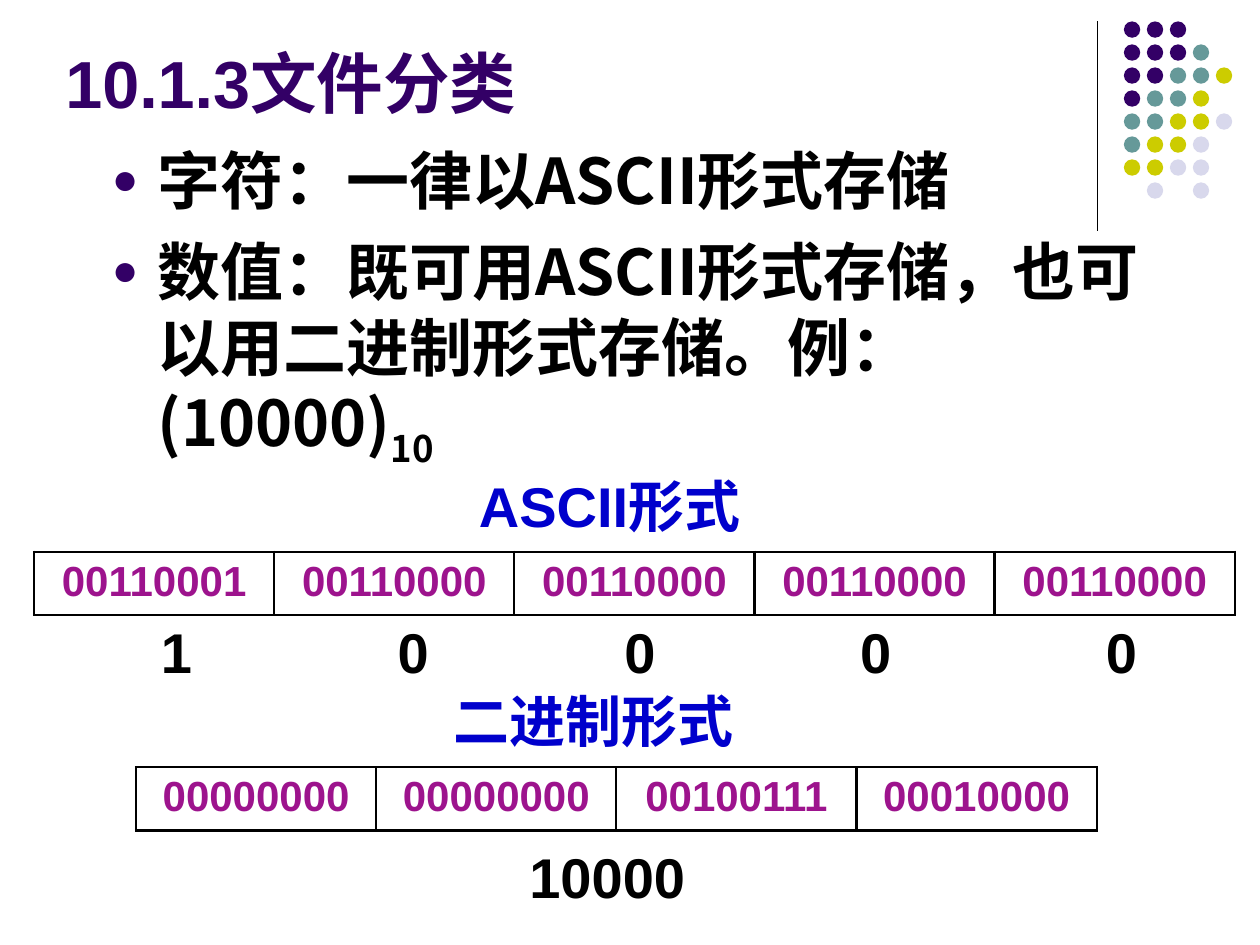
from typing import NamedTuple

from lxml.etree import SubElement as Sub
from pptx import Presentation
from pptx.dml.color import RGBColor as Rgb
from pptx.enum.shapes import MSO_CONNECTOR as Link, MSO_SHAPE as Shape
from pptx.enum.text import MSO_ANCHOR as Anchor, PP_ALIGN as Align
from pptx.oxml.ns import qn
from pptx.util import Inches, Pt

COLORS = {
    "ink": "000000", "plum": "330066", "teal": "669999", "lime": "CCCC00",
    "mist": "D8D8EC", "blue": "0000CC", "code": "9D138D",
}
SANS, HAN = "Arial", "Noto Sans CJK SC"


class Style(NamedTuple):
    size: float
    color: str
    face: str = SANS


class Label(NamedTuple):
    text: str
    left: float
    top: float
    width: float
    color: str = "ink"


class Grid(NamedTuple):
    left: float
    top: float
    codes: list[str]


TITLE = Style(38, "plum")
BODY = Style(36, "ink", HAN)
CODE = Style(24, "code")

# Dot pattern: one letter per dot, a space for a gap
DOTS = ["ppp", "pppt", "ppttl", "pttl", "ttllm", "tllm", "llmm", " m m"]
KEYS = {"p": "plum", "t": "teal", "l": "lime", "m": "mist"}
DOT, STEP = 0.13, 0.73 / 4

GRIDS = [
    Grid(0.27, 4.38, ["00110001"] + ["00110000"] * 4),
    Grid(1.08, 6.09, ["00000000", "00000000", "00100111", "00010000"]),
]
CELL, ROW = 1.906, 0.5

DIGITS = zip("10000", [0.66, 2.54, 4.34, 6.21, 8.16])
LABELS = [Label(digit, left, 4.85, 1.48) for digit, left in DIGITS] + [
    Label("ASCII形式", 3.24, 3.69, 3.2, "blue"),
    Label("二进制形式", 3.11, 5.4, 3.2, "blue"),
    Label("10000", 3.65, 6.64, 2.34),
]


def color(name: str) -> Rgb:
    return Rgb.from_string(COLORS[name])


def add_run(para, text: str, style: Style):
    run = para.add_run()
    run.text = text
    form = {"size": Pt(style.size), "bold": True, "name": style.face}
    for key, value in form.items():
        setattr(run.font, key, value)
    run.font.color.rgb = color(style.color)
    Sub(run.font._element, qn("a:ea"), typeface=HAN)
    return run


def add_box(slide, left: float, top: float, width: float, height: float):
    box = slide.shapes.add_textbox(*map(Inches, (left, top, width, height)))
    box.text_frame.word_wrap = True
    return box.text_frame


def add_bullet(para) -> None:
    props = para._p.get_or_add_pPr()
    props.set("marL", str(Inches(0.48)))
    props.set("indent", str(-Inches(0.36)))
    tint = Sub(props, qn("a:buClr"))
    Sub(tint, qn("a:srgbClr"), val=COLORS["plum"])
    Sub(props, qn("a:buSzPct"), val="70000")
    Sub(props, qn("a:buFont"), typeface=SANS)
    Sub(props, qn("a:buChar"), char="●")


def add_label(slide, label: Label) -> None:
    frame = add_box(slide, label.left, label.top, label.width, 0.64)
    para = frame.paragraphs[0]
    para.alignment = Align.CENTER
    add_run(para, label.text, Style(32, label.color))


def add_border(cell) -> None:
    props = cell._tc.get_or_add_tcPr()
    for spot, side in enumerate(("lnL", "lnR", "lnT", "lnB")):
        line = props.makeelement(qn(f"a:{side}"), {"w": str(Pt(1.47))})
        fill = Sub(line, qn("a:solidFill"))
        Sub(fill, qn("a:srgbClr"), val=COLORS["ink"])
        props.insert(spot, line)


def add_grid(slide, grid: Grid) -> None:
    count = len(grid.codes)
    area = map(Inches, (grid.left, grid.top, CELL * count, ROW))
    table = slide.shapes.add_table(1, count, *area).table
    table.first_row = table.horz_banding = False
    for cell, code in zip(table.iter_cells(), grid.codes):
        cell.fill.background()
        add_border(cell)
        para = cell.text_frame.paragraphs[0]
        para.alignment = Align.CENTER
        add_run(para, code, CODE)


def add_dots(slide) -> None:
    group = slide.shapes.add_group_shape()
    for row, keys in enumerate(DOTS):
        for col, key in enumerate(keys):
            if key == " ":
                continue
            area = (8.92 + col * STEP, 0.17 + row * STEP, DOT, DOT)
            dot = group.shapes.add_shape(Shape.OVAL, *map(Inches, area))
            dot.shadow.inherit = False
            dot.fill.solid()
            dot.fill.fore_color.rgb = color(KEYS[key])
            dot.line.fill.background()


def add_rule(slide) -> None:
    ends = map(Inches, (8.71, 0.17, 8.71, 1.83))
    rule = slide.shapes.add_connector(Link.STRAIGHT, *ends)
    rule.line.width = Pt(0.75)
    rule.line.color.rgb = color("ink")
    Sub(rule._element.spPr, qn("a:effectLst"))


def add_body(slide) -> None:
    frame = add_box(slide, 0.67, 1.07, 8.82, 2.21)
    first, second = frame.paragraphs[0], frame.add_paragraph()
    second.space_before = Pt(9)
    for para in (first, second):
        para.line_spacing = 1.0
        add_bullet(para)
    add_run(first, "字符：一律以ASCII形式存储", BODY)
    add_run(second, "数值：既可用ASCII形式存储，也可以用二进制形式存储。例：(10000)", BODY)
    base = add_run(second, "10", BODY)
    base.font._element.set("baseline", "-25000")


def main() -> None:
    deck = Presentation()
    deck.slide_width, deck.slide_height = Inches(10), Inches(7.5)
    slide = deck.slides.add_slide(deck.slide_layouts[6])

    # Corner ornament
    add_rule(slide)
    add_dots(slide)

    # Title and bullets
    title = add_box(slide, 0.42, 0.28, 8.91, 0.74)
    title.vertical_anchor = Anchor.BOTTOM
    add_run(title.paragraphs[0], "10.1.3文件分类", TITLE)
    add_body(slide)

    # Byte tables and their captions
    for grid in GRIDS:
        add_grid(slide, grid)
    for label in LABELS:
        add_label(slide, label)

    deck.save("out.pptx")


if __name__ == "__main__":
    main()
